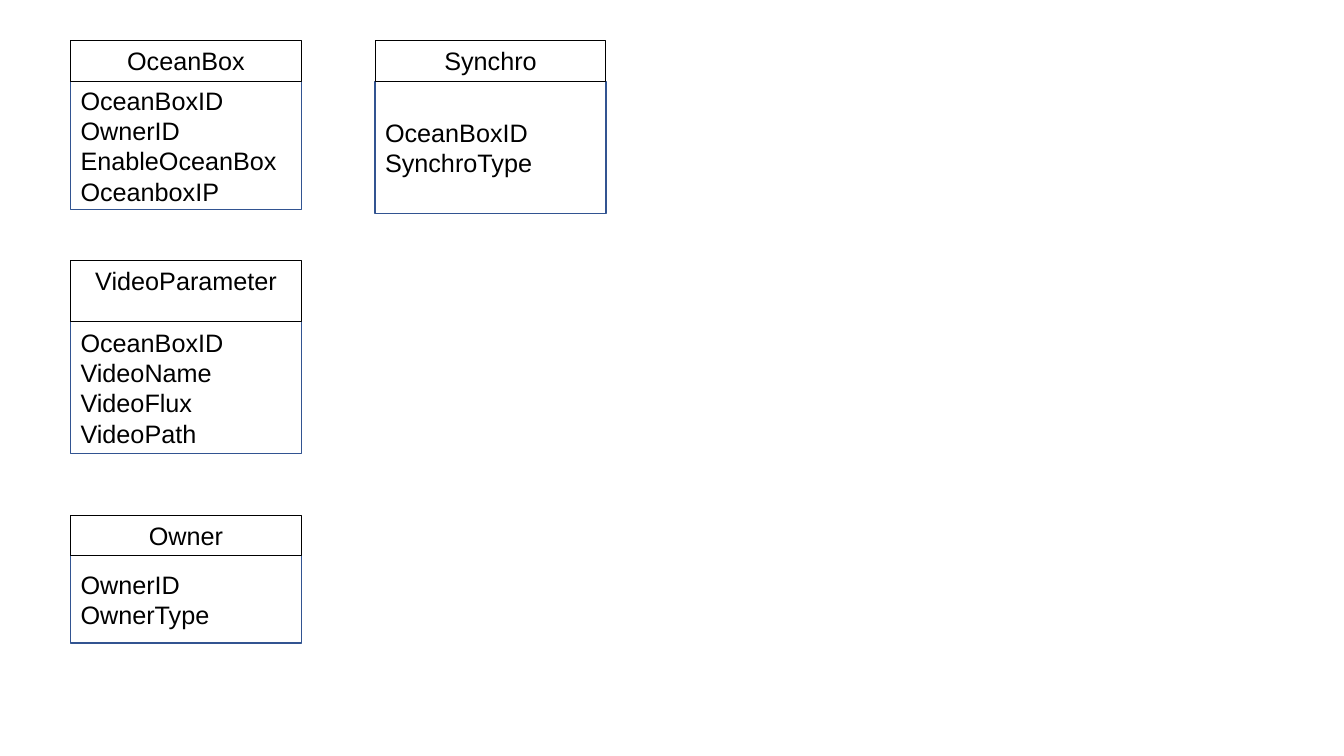
from pptx import Presentation
from pptx.dml.color import RGBColor as Rgb
from pptx.enum.shapes import MSO_SHAPE as Shape
from pptx.enum.text import MSO_ANCHOR as Anchor, PP_ALIGN as Align
from pptx.util import Inches, Pt

COLORS = {"text": "000000", "head": "000000", "body": "325491"}
WIDTH = 2.29
LEFT, RIGHT = 0.7, 3.72

# Entities: name, fields, left, top, head height, body height
TABLES = [
    ("OceanBox", ["OceanBoxID", "OwnerID", "EnableOceanBox", "OceanboxIP"],
     LEFT, 0.4, 0.41, 1.27),
    ("Owner", ["OwnerID", "OwnerType"], LEFT, 5.11, 0.4, 0.87),
    ("VideoParameter", ["OceanBoxID", "VideoName", "VideoFlux", "VideoPath"],
     LEFT, 2.58, 0.61, 1.31),
    ("Synchro", ["OceanBoxID", "SynchroType"], RIGHT, 0.4, 0.41, 1.31),
]


def add_box(shapes, box, lines, color, weight, align, anchor):
    """Draw an outlined box with one paragraph per line."""
    rect = shapes.add_shape(Shape.RECTANGLE, *map(Inches, box))
    rect.shadow.inherit = False
    rect.fill.background()
    rect.line.color.rgb = Rgb.from_string(COLORS[color])
    rect.line.width = Pt(weight)
    frame = rect.text_frame
    frame.word_wrap = True
    frame.vertical_anchor = anchor
    frame.text = "\n".join(lines)
    for para in frame.paragraphs:
        para.alignment = align
        for run in para.runs:
            run.font.name = "Arial"
            run.font.size = Pt(18)
            run.font.color.rgb = Rgb.from_string(COLORS["text"])


def add_entity(slide, name, fields, left, top, head, body):
    """Group the field list with the name box above it."""
    shapes = slide.shapes.add_group_shape().shapes
    add_box(shapes, (left, top + head, WIDTH, body), fields,
            "body", 1, Align.LEFT, Anchor.MIDDLE)
    add_box(shapes, (left, top, WIDTH, head), [name],
            "head", 0.75, Align.CENTER, Anchor.TOP)


# Slide
deck = Presentation()
deck.slide_width, deck.slide_height = Inches(13.33), Inches(7.5)
slide = deck.slides.add_slide(deck.slide_layouts[6])
for table in TABLES:
    add_entity(slide, *table)
deck.save("out.pptx")
